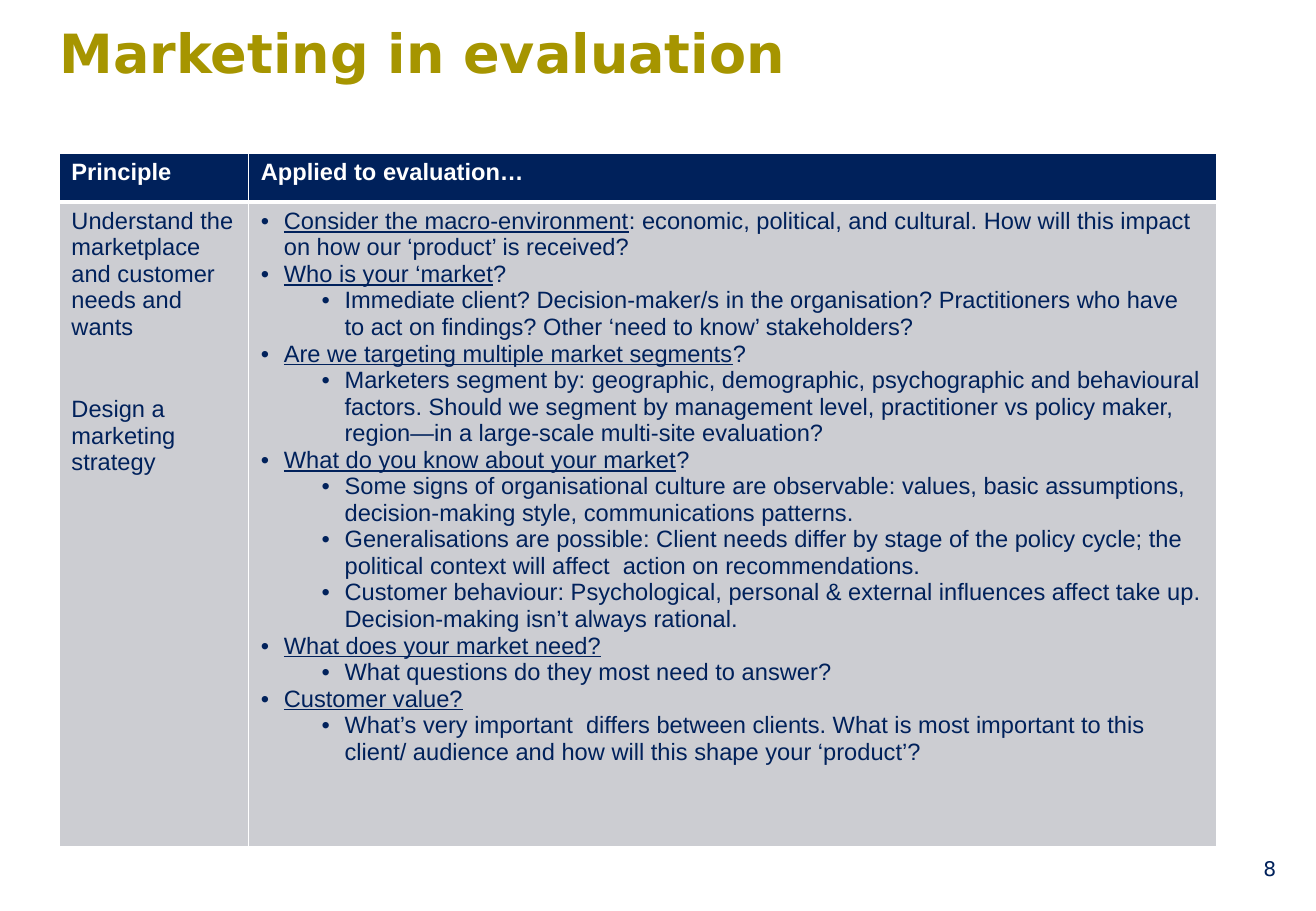
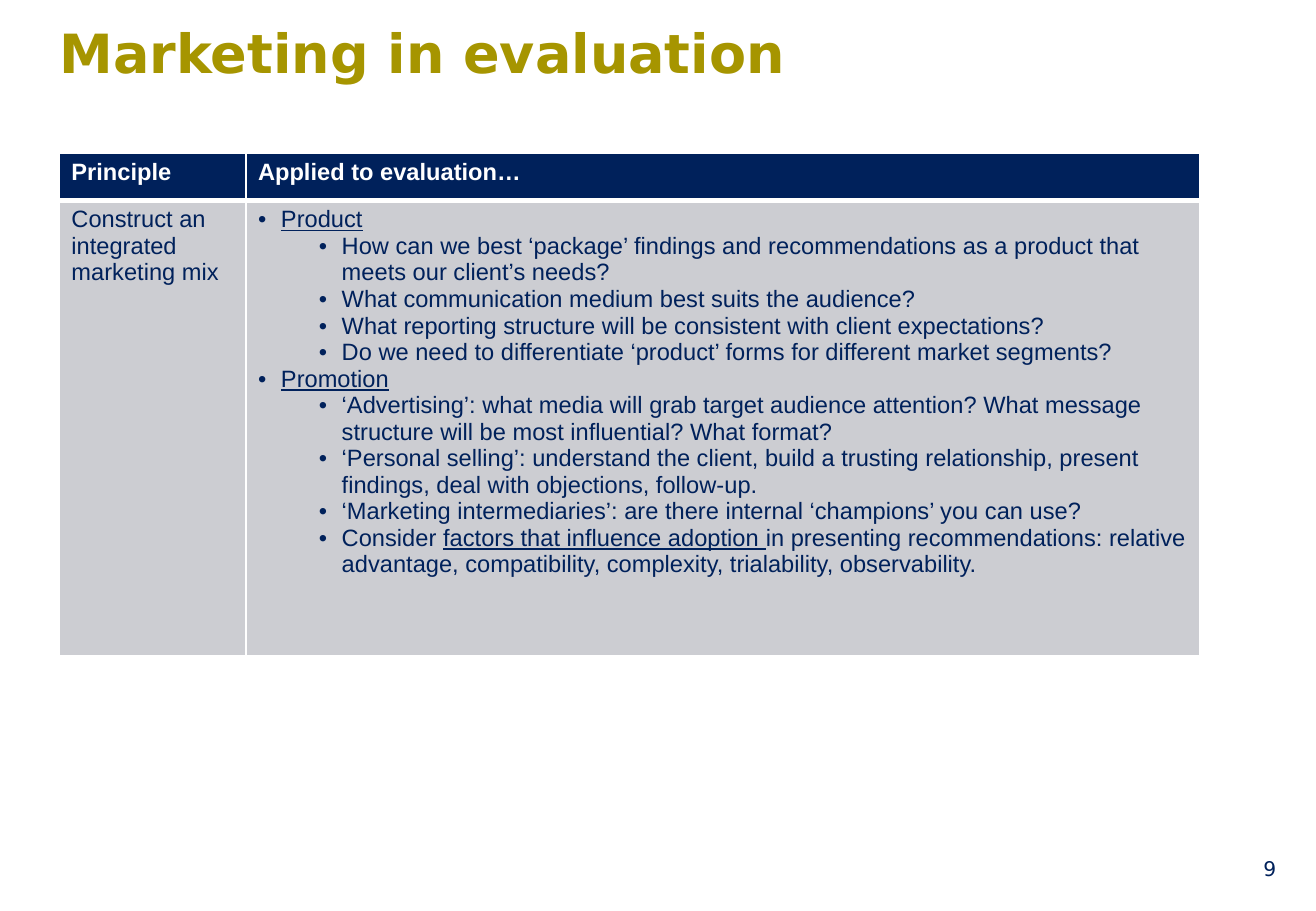
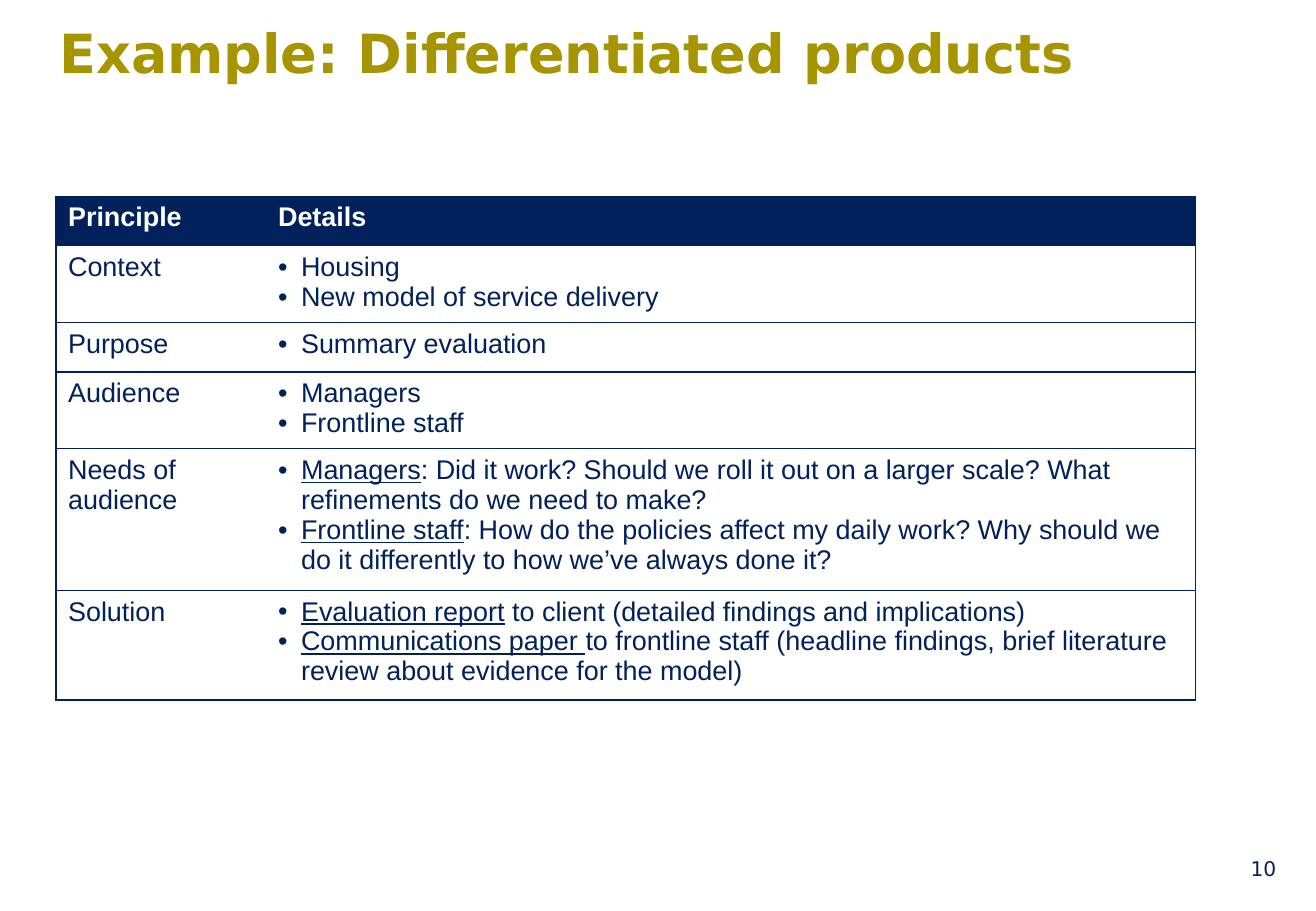
import lxml.etree
import pptx
import pptx.dml.color
import pptx.enum.text
import pptx.oxml.ns
import pptx.util

Cm, Pt = pptx.util.Cm, pptx.util.Pt
Align = pptx.enum.text.PP_ALIGN
Anchor = pptx.enum.text.MSO_ANCHOR
qn = pptx.oxml.ns.qn

INK = {"navy": "00215B", "gold": "A69500", "grey": "CCCDD2",
       "white": "FFFFFF", "rule": "002059"}
HEAD, BODY = "DejaVu Sans", "Arial"
INDENT = (0.48, 1.75)  # text indent of each bullet level, cm
HANG = 0.48


def rgb(name):
    return pptx.dml.color.RGBColor.from_string(INK[name])


def write(par, text, font=BODY, size=14, ink="navy", bold=False,
          align=Align.LEFT, level=None, before=0):
    """Fill a paragraph; words between underscores are underlined."""
    if level is not None:
        props = par._p.get_or_add_pPr()
        props.set("marL", str(Cm(INDENT[level])))
        props.set("indent", str(-Cm(HANG)))
        lxml.etree.SubElement(props, qn("a:buFont")).set("typeface", BODY)
        lxml.etree.SubElement(props, qn("a:buChar")).set("char", "•")
    par.alignment = align
    if before:
        par.space_before = Pt(before)
    for i, part in enumerate(text.split("_")):
        if part:
            run = par.add_run()
            run.text = part
            run.font.name, run.font.size = font, Pt(size)
            run.font.bold, run.font.underline = bold, i % 2 == 1
            run.font.color.rgb = rgb(ink)


def edge(cell, side, ink, width):
    """Draw one cell border, or clear it when ink is None."""
    line = lxml.etree.SubElement(cell._tc.get_or_add_tcPr(), qn("a:ln" + side))
    if ink is None:
        lxml.etree.SubElement(line, qn("a:noFill"))
        return
    line.set("w", str(Pt(width)))
    fill = lxml.etree.SubElement(line, qn("a:solidFill"))
    lxml.etree.SubElement(fill, qn("a:srgbClr")).set("val", INK[ink])


class Deck:
    def __init__(self):
        self.prs = pptx.Presentation()
        self.prs.slide_width, self.prs.slide_height = Cm(27.51), Cm(19.05)

    def start(self, title, number):
        """Add a slide with its title and page number."""
        self.slide = self.prs.slides.add_slide(self.prs.slide_layouts[5])
        box = self.slide.shapes.title
        box.left, box.top, box.width, box.height = Cm(1.24), Cm(0.41), Cm(23.83), Cm(2.57)
        frame = box.text_frame
        frame.margin_left = frame.margin_right = frame.margin_top = frame.margin_bottom = 0
        frame.vertical_anchor, frame.word_wrap = Anchor.TOP, True
        frame.auto_size = pptx.enum.text.MSO_AUTO_SIZE.NONE
        write(frame.paragraphs[0], title, font=HEAD, size=32, ink="gold", bold=True)

        page = self.slide.shapes.add_textbox(Cm(20.5), Cm(17.65), Cm(6.43), Cm(1.02))
        page.text_frame.word_wrap = True
        page.text_frame.vertical_anchor = Anchor.MIDDLE
        write(page.text_frame.paragraphs[0], str(number), font=HEAD, size=12,
              align=Align.RIGHT)

    def table(self, left, top, cols, heights, rows, size=14, boxed=False):
        """Add a two-column table: grey body, or a boxed body with row rules."""
        grid = self.slide.shapes.add_table(
            len(rows), len(cols), Cm(left), Cm(top), Cm(sum(cols)), Cm(sum(heights))).table
        grid.horz_banding = False
        for col, width in zip(grid.columns, cols):
            col.width = Cm(width)
        for r, (row, high) in enumerate(zip(rows, heights)):
            grid.rows[r].height = Cm(high)
            for c, items in enumerate(row):
                cell = grid.cell(r, c)
                self.border(cell, r, c, boxed)
                if r and boxed:
                    cell.fill.background()
                else:
                    cell.fill.solid()
                    cell.fill.fore_color.rgb = rgb("grey" if r else "navy")
                self.fill(cell, items, r == 0, c == 1, size)

    def border(self, cell, r, c, boxed):
        for side in "LRTB":
            ink, width = ("rule", 0.75) if boxed else ("white", 1)
            if boxed and side == "RL"[c]:
                ink = None
            elif not boxed and (r, side) in ((0, "B"), (1, "T")):
                width = 3
            edge(cell, side, ink, width)

    def fill(self, cell, items, head, listed, size):
        """Write the paragraphs of a cell; a leading dash marks a sub-bullet."""
        frame = cell.text_frame
        for i, text in enumerate(items):
            par = frame.add_paragraph() if i else frame.paragraphs[0]
            sub = text.startswith("- ")
            write(par, text[2:] if sub else text, size=size, bold=head,
                  ink="white" if head else "navy",
                  level=int(sub) if listed and not head else None,
                  before=33 if i and not listed else 0)


def main():
    deck = Deck()
    top = [["Principle"], ["Applied to evaluation…"]]

    # Understanding the market
    deck.start("Marketing in evaluation", 8)
    deck.table(1.24, 3.2, (3.96, 20.24), (1.02, 13.49), [top, [
        ["Understand the marketplace and customer needs and wants",
         "Design a marketing strategy"],
        ["_Consider the macro-environment_: economic, political, and cultural. How will this impact on how our ‘product’ is received?",
         "_Who is your ‘market_?",
         "- Immediate client? Decision-maker/s in the organisation? Practitioners who have to act on findings? Other ‘need to know’ stakeholders?",
         "_Are we targeting multiple market segments_?",
         "- Marketers segment by: geographic, demographic, psychographic and behavioural factors. Should we segment by management level, practitioner vs policy maker, region—in a large-scale multi-site evaluation?",
         "_What do you know about your market_?",
         "- Some signs of organisational culture are observable: values, basic assumptions, decision-making style, communications patterns.",
         "- Generalisations are possible: Client needs differ by stage of the policy cycle; the political context will affect  action on recommendations.",
         "- Customer behaviour: Psychological, personal & external influences affect take up. Decision-making isn’t always rational.",
         "_What does your market need?_",
         "- What questions do they most need to answer?",
         "_Customer value?_",
         "- What’s very important  differs between clients. What is most important to this client/ audience and how will this shape your ‘product’?"],
    ]])

    # Marketing mix
    deck.start("Marketing in evaluation", 9)
    deck.table(1.24, 3.2, (3.9, 19.93), (0.99, 9.52), [top, [
        ["Construct an integrated marketing mix"],
        ["_Product_",
         "- How can we best ‘package’ findings and recommendations as a product that meets our client’s needs?",
         "- What communication medium best suits the audience?",
         "- What reporting structure will be consistent with client expectations?",
         "- Do we need to differentiate ‘product’ forms for different market segments?",
         "_Promotion_",
         "- ‘Advertising’: what media will grab target audience attention? What message structure will be most influential? What format?",
         "- ‘Personal selling’: understand the client, build a trusting relationship, present findings, deal with objections, follow-up.",
         "- ‘Marketing intermediaries’: are there internal ‘champions’ you can use?",
         "- Consider _factors that influence adoption _in presenting recommendations: relative advantage, compatibility, complexity, trialability, observability."],
    ]])

    # Worked example: row heights follow the number of text lines
    deck.start("Example: Differentiated products", 10)
    lines = (1, 2, 1, 2, 4, 3)
    heights = [max(1.03, 0.26 + 0.63 * n) for n in lines]
    deck.table(1.17, 4.11, (4.39, 19.43), heights, [
        [["Principle"], ["Details"]],
        [["Context"], ["Housing", "New model of service delivery"]],
        [["Purpose"], ["Summary evaluation"]],
        [["Audience"], ["Managers", "Frontline staff"]],
        [["Needs of audience"],
         ["_Managers_: Did it work? Should we roll it out on a larger scale? What refinements do we need to make?",
          "_Frontline staff_: How do the policies affect my daily work? Why should we do it differently to how we’ve always done it?"]],
        [["Solution"],
         ["_Evaluation report_ to client (detailed findings and implications)",
          "_Communications paper _to frontline staff (headline findings, brief literature review about evidence for the model)"]],
    ], size=16, boxed=True)

    deck.prs.save("out.pptx")


if __name__ == "__main__":
    main()
